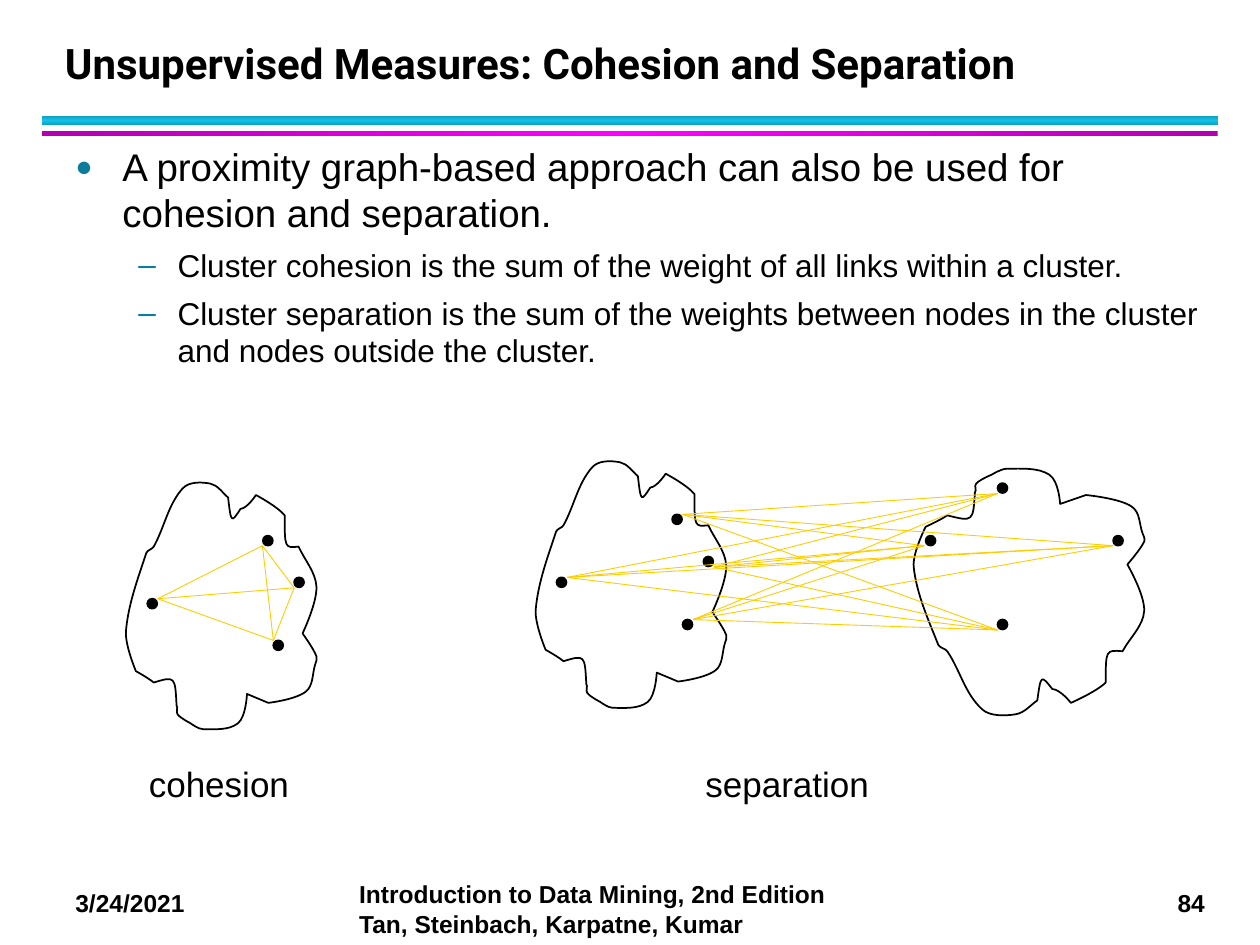
from dataclasses import dataclass
from itertools import combinations, product
from math import dist

from lxml import etree
from pptx import Presentation
from pptx.dml.color import RGBColor
from pptx.enum.shapes import MSO_CONNECTOR, MSO_SHAPE
from pptx.enum.text import MSO_ANCHOR
from pptx.oxml.ns import qn
from pptx.util import Cm, Pt

STRAIGHT = MSO_CONNECTOR.STRAIGHT
RECTANGLE, OVAL = MSO_SHAPE.RECTANGLE, MSO_SHAPE.OVAL
TOP, BOTTOM = MSO_ANCHOR.TOP, MSO_ANCHOR.BOTTOM

BLACK = RGBColor(0x00, 0x00, 0x00)
LINK_YELLOW = RGBColor(0xFF, 0xCC, 0x00)
BULLET_TEAL = RGBColor(0x0C, 0x7B, 0x9C)
DARK_CYAN = RGBColor(0x0E, 0x9B, 0xBA)
CYAN = RGBColor(0x12, 0xC2, 0xE9)
DARK_MAGENTA = RGBColor(0xB2, 0x00, 0xB2)
MAGENTA = RGBColor(0xFF, 0x00, 0xFF)

Point = tuple[float, float]
DOT_SIZE = 0.2

# Cluster outline in cm, from its top left corner
OUTLINE: list[Point] = [
    (0.41, 1.4), (0, 2.97), (0.2, 3.78), (0.56, 4.01), (1.02, 4.47), (1.04, 4.65),
    (1.3, 4.83), (1.55, 4.95), (2.26, 4.83), (2.44, 4.24), (2.87, 4.42), (3.63, 4.19),
    (3.81, 3.66), (3.84, 3.48), (3.56, 3.02), (3.84, 2.08), (3.48, 1.27), (3.2, 0.64),
    (2.62, 0.23), (2.31, 0.51), (2.06, 0.28), (1.7, 0), (1.14, 0.1), (0.56, 1.27)]
# Curves that turn sharply: start index and the corner they bend around
CORNERS: dict[int, Point] = {3: (0.99, 3.88), 16: (3.2, 1.3), 19: (2.12, 0.8)}
SHARP_POINTS = {2, 6, 9, 10, 14, 18}


@dataclass
class Cluster:
    left: float
    top: float
    dots: list[Point]
    link_ends: list[Point]
    stretch: float = 1
    height: float = 0  # flips the outline top to bottom when given


@dataclass
class Label:
    text: str
    left: float
    top: float
    width: float
    height: float
    size: float
    bold: bool = False
    font: str = "Arial"
    wrap: bool = True
    anchor: int = TOP
    line_spacing: float = 0


@dataclass
class Bullet:
    text: str
    size: float
    level: int
    mark: str
    mark_percent: int
    margin: float
    hanging: float
    space_before: float


@dataclass
class Bar:
    top: float
    height: float
    edge: RGBColor
    middle: RGBColor
    angle: int


COHESION = Cluster(
    2.54, 9.75, [(5.51, 12.91), (5.3, 10.8), (2.97, 12.07), (5.93, 11.64)],
    [(3.18, 12.07), (5.51, 12.91), (5.29, 11), (5.93, 11.85)])
LEFT_CLUSTER = Cluster(
    10.8, 9.32, [(13.76, 12.49), (13.55, 10.37), (11.22, 11.64), (14.18, 11.22)],
    [(13.97, 12.49), (14.39, 11.43), (11.43, 11.64), (13.76, 10.37)])
RIGHT_CLUSTER = Cluster(
    18.42, 9.32, [(22.44, 10.8), (18.66, 10.8), (20.11, 12.49), (20.11, 9.74)],
    [(20.11, 12.7), (18.63, 11), (20.11, 9.95), (22.44, 11)], stretch=1.21, height=5.08)

BARS = [Bar(2.33, 0.2, DARK_CYAN, CYAN, 90), Bar(2.64, 0.1, DARK_MAGENTA, MAGENTA, 0)]

TITLE = Label("Unsupervised Measures: Cohesion and Separation", 1.06, 0.43, 23, 1.47, 24,
              bold=True, font="Roboto", anchor=BOTTOM, line_spacing=36)
FOOTERS = [
    Label("3/24/2021", 1.27, 17.78, 3.38, 0.86, 14, bold=True),
    Label("84", 23.49, 17.78, 1.12, 0.86, 14, bold=True, wrap=False),
    Label("Introduction to Data Mining, 2nd Edition Tan, Steinbach, Karpatne, Kumar",
          6.99, 17.6, 10.36, 1.45, 14, bold=True)]
CAPTIONS = [
    Label("cohesion", 2.75, 15.24, 3.33, 1.09, 20, wrap=False),
    Label("separation", 13.97, 15.24, 3.81, 1.09, 20, wrap=False)]

BULLETS = [
    Bullet("A proximity graph-based approach can also be used for cohesion and separation.",
           22, 0, "●", 75, 0.95, 0.95, 0),
    *(Bullet(text, 18, 1, "–", 100, 2.06, 0.79, 1.8) for text in (
        "Cluster cohesion is the sum of the weight of all links within a cluster.",
        "Cluster separation is the sum of the weights between nodes in the cluster "
        "and nodes outside the cluster."))]


def add_run(paragraph, text: str, size: float, bold: bool = False, font: str = "Arial") -> None:
    run = paragraph.add_run()
    run.text = text
    run.font.size, run.font.bold, run.font.name = Pt(size), bold, font
    run.font.color.rgb = BLACK


def add_label(slide, label: Label) -> None:
    box = slide.shapes.add_textbox(
        Cm(label.left), Cm(label.top), Cm(label.width), Cm(label.height))
    frame = box.text_frame
    frame.word_wrap, frame.vertical_anchor = label.wrap, label.anchor
    paragraph = frame.paragraphs[0]
    if label.line_spacing:
        paragraph.line_spacing = Pt(label.line_spacing)
    add_run(paragraph, label.text, label.size, label.bold, label.font)


def add_bullets(slide, bullets: list[Bullet]) -> None:
    frame = slide.shapes.add_textbox(Cm(1.27), Cm(2.76), Cm(23.5), Cm(14.8)).text_frame
    frame.word_wrap = True
    for index, bullet in enumerate(bullets):
        paragraph = frame.add_paragraph() if index else frame.paragraphs[0]
        paragraph.level = bullet.level
        paragraph.space_before, paragraph.space_after = Pt(bullet.space_before), Pt(4)
        properties = paragraph._p.get_or_add_pPr()
        properties.set("marL", str(Cm(bullet.margin)))
        properties.set("indent", str(-Cm(bullet.hanging)))
        color = etree.SubElement(properties, qn("a:buClr"))
        etree.SubElement(color, qn("a:srgbClr"), val=str(BULLET_TEAL))
        etree.SubElement(properties, qn("a:buSzPct"), val=str(bullet.mark_percent * 1000))
        etree.SubElement(properties, qn("a:buFont"), typeface="Arial")
        etree.SubElement(properties, qn("a:buChar"), char=bullet.mark)
        add_run(paragraph, bullet.text, bullet.size)


def add_bar(slide, bar: Bar) -> None:
    shape = slide.shapes.add_shape(RECTANGLE, Cm(0.85), Cm(bar.top), Cm(23.7), Cm(bar.height))
    shape.shadow.inherit = False
    shape.line.fill.background()
    shape.fill.gradient()
    shape.fill.gradient_angle = bar.angle
    stops = shape._element.spPr.find(f".//{qn('a:gsLst')}")
    for stop in list(stops):
        stops.remove(stop)
    for percent, color in ((0, bar.edge), (50, bar.middle), (100, bar.edge)):
        stop = etree.SubElement(stops, qn("a:gs"), pos=str(percent * 1000))
        etree.SubElement(stop, qn("a:srgbClr"), val=str(color))


def handle(index: int, reach: float) -> Point:
    """Control point beside an outline point, along the line through its neighbours."""
    x, y = OUTLINE[index]
    if index in SHARP_POINTS:
        return x, y
    before, after = OUTLINE[index - 1], OUTLINE[(index + 1) % len(OUTLINE)]
    scale = reach / dist(before, after)
    return x + (after[0] - before[0]) * scale, y + (after[1] - before[1]) * scale


def add_outline(slide, cluster: Cluster):
    def place(point: Point) -> tuple[int, int]:
        x, y = point
        y = cluster.height - y if cluster.height else y
        return Cm(cluster.left + x * cluster.stretch), Cm(cluster.top + y)

    points = [place(point) for point in OUTLINE]
    builder = slide.shapes.build_freeform(*points[0])
    builder.add_line_segments(points[1:] + points[:1], close=True)
    outline = builder.convert_to_shape()

    # Bend each segment into a cubic curve
    for index, segment in enumerate(outline._element.spPr.findall(f".//{qn('a:lnTo')}")):
        following = (index + 1) % len(OUTLINE)
        reach = dist(OUTLINE[index], OUTLINE[following]) / 3
        controls = (handle(index, reach), handle(following, -reach))
        if index in CORNERS:
            controls = (CORNERS[index],) * 2
        segment.tag = qn("a:cubicBezTo")
        for position, control in enumerate(controls):
            x, y = place(control)
            segment.insert(position, etree.Element(
                qn("a:pt"), x=str(x - outline.left), y=str(y - outline.top)))
    return outline


def add_cluster(slide, cluster: Cluster) -> None:
    outline = add_outline(slide, cluster)
    outline.fill.background()
    dots = [slide.shapes.add_shape(OVAL, Cm(x), Cm(y), Cm(DOT_SIZE), Cm(DOT_SIZE))
            for x, y in cluster.dots]
    for dot in dots:
        dot.fill.solid()
        dot.fill.fore_color.rgb = BLACK
    for shape in (outline, *dots):
        shape.shadow.inherit = False
        shape.line.color.rgb, shape.line.width = BLACK, Pt(1)


def add_links(slide, pairs) -> None:
    for start, end in pairs:
        link = slide.shapes.add_connector(STRAIGHT, *(Cm(value) for value in (*start, *end)))
        link.line.color.rgb, link.line.width = LINK_YELLOW, Pt(0.5)
        etree.SubElement(link._element.spPr, qn("a:effectLst"))


def main() -> None:
    presentation = Presentation()
    presentation.slide_width, presentation.slide_height = Cm(25.4), Cm(19.05)
    slide = presentation.slides.add_slide(presentation.slide_layouts[6])
    for bar in BARS:
        add_bar(slide, bar)
    for label in FOOTERS:
        add_label(slide, label)
    add_bullets(slide, BULLETS)
    add_label(slide, TITLE)

    # Separation, then cohesion
    add_cluster(slide, LEFT_CLUSTER)
    add_cluster(slide, RIGHT_CLUSTER)
    add_links(slide, product(LEFT_CLUSTER.link_ends, RIGHT_CLUSTER.link_ends))
    add_cluster(slide, COHESION)
    add_links(slide, combinations(COHESION.link_ends, 2))
    for label in CAPTIONS:
        add_label(slide, label)
    presentation.save("out.pptx")


if __name__ == "__main__":
    main()
